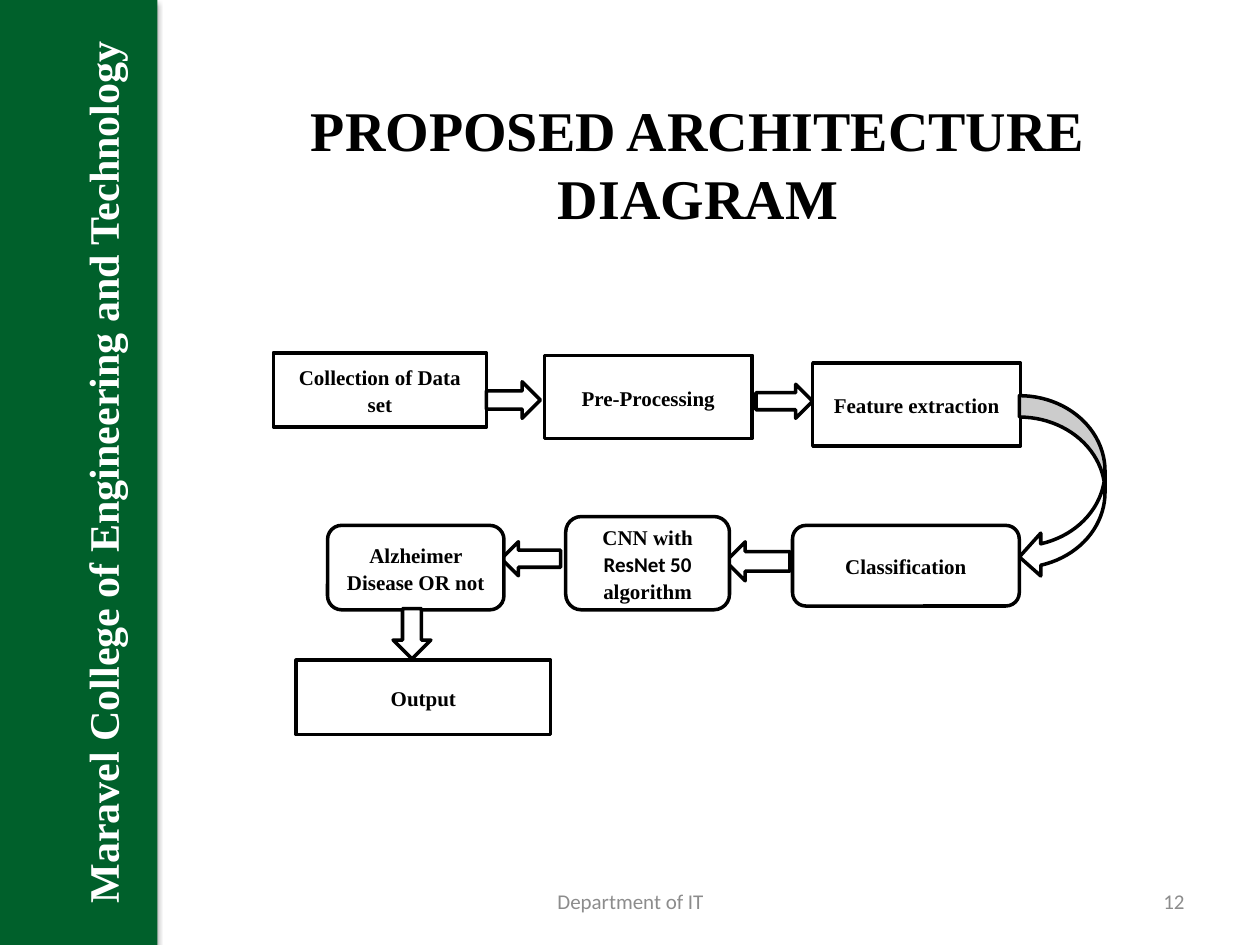
from lxml import etree
from pptx import Presentation
from pptx.dml.color import RGBColor
from pptx.enum.shapes import MSO_SHAPE
from pptx.enum.text import MSO_ANCHOR, PP_ALIGN
from pptx.oxml.ns import qn
from pptx.util import Inches, Pt

RECT, ROUND = MSO_SHAPE.RECTANGLE, MSO_SHAPE.ROUNDED_RECTANGLE
RIGHT, LEFT = MSO_SHAPE.RIGHT_ARROW, MSO_SHAPE.LEFT_ARROW
DOWN, CURVE = MSO_SHAPE.DOWN_ARROW, MSO_SHAPE.CURVED_LEFT_ARROW
MIDDLE, BOTTOM = MSO_ANCHOR.MIDDLE, MSO_ANCHOR.BOTTOM
CENTER, END = PP_ALIGN.CENTER, PP_ALIGN.RIGHT
SERIF, SANS = "Times New Roman", "Calibri"
COLORS = {"green": "00602B", "ink": "000000", "paper": "FFFFFF", "gray": "8C8C8C"}

# kind, left, top, width, height, text runs; offsets from the flow box
STEPS = [
    (RECT, 0, 0, 1.69, 0.59, ["Collection of Data set"]),
    (RIGHT, 1.69, 0.23, 0.43, 0.29, []),
    (RECT, 2.15, 0.02, 1.65, 0.66, ["Pre-Processing"]),
    (RIGHT, 3.83, 0.25, 0.45, 0.27, []),
    (RECT, 4.28, 0.08, 1.65, 0.66, ["Feature extraction"]),
    (CURVE, 5.92, 0.34, 0.68, 1.45, []),
    (ROUND, 4.12, 1.37, 1.8, 0.64, ["Classification"]),
    (LEFT, 3.59, 1.5, 0.51, 0.31, []),
    (ROUND, 2.32, 1.3, 1.3, 0.74, ["CNN with ", ("ResNet 50 ", SANS), "algorithm"]),
    (LEFT, 1.81, 1.5, 0.47, 0.27, []),
    (ROUND, 0.43, 1.37, 1.4, 0.67, ["Alzheimer Disease OR not"]),
    (DOWN, 0.95, 2.03, 0.3, 0.4, []),
    (RECT, 0.18, 2.44, 2.02, 0.59, ["Output"]),
]


def rgb(name):
    """Look up a named colour."""
    return RGBColor.from_string(COLORS[name])


def place(shape, left, top, width, height):
    """Move and size a shape, in inches."""
    shape.left, shape.top = Inches(left), Inches(top)
    shape.width, shape.height = Inches(width), Inches(height)


def write(shape, runs, size=12, font=SERIF, color="ink", bold=True,
          align=CENTER, anchor=MIDDLE, space=None):
    """Put one paragraph of runs, each text or (text, font), in a shape."""
    frame = shape.text_frame
    frame.word_wrap = True
    frame.vertical_anchor = anchor
    para = frame.paragraphs[0]
    para.alignment = align
    if space:
        para.line_spacing, para.space_after = space
    for item in runs:
        text, face = (item, font) if isinstance(item, str) else item
        run = para.add_run()
        run.text = text
        run.font.size, run.font.name = Pt(size), face
        run.font.bold, run.font.color.rgb = bold, rgb(color)


def draw(slide, kind, box, fill, line=None):
    """Add a filled preset shape with an optional outline."""
    shape = slide.shapes.add_shape(kind, *map(Inches, box))
    shape.shadow.inherit = False
    shape.fill.solid()
    shape.fill.fore_color.rgb = rgb(fill)
    if line:
        shape.line.color.rgb = rgb(line)
        shape.line.width = Pt(2)
    else:
        shape.line.fill.background()
    return shape


def shade(shape):
    """Give a shape a soft shadow straight below."""
    list_ = shape.element.spPr.find(qn("a:effectLst"))
    outer = etree.SubElement(list_, qn("a:outerShdw"), blurRad=str(Pt(3.1)),
                             dist=str(Pt(1.8)), dir="5400000", rotWithShape="0")
    tint = etree.SubElement(outer, qn("a:srgbClr"), val=COLORS["ink"])
    etree.SubElement(tint, qn("a:alpha"), val="35000")


def add_title(slide, box, text):
    """Format the title placeholder."""
    place(slide.shapes.title, *box)
    write(slide.shapes.title, [text], size=32)


def add_side(slide, box, text):
    """Add the green side band with its upward text."""
    band = draw(slide, RECT, box, "green")
    shade(band)
    write(band, [text], size=24, color="paper", anchor=BOTTOM)
    frame = band.text_frame
    frame.margin_left = frame.margin_right = Inches(0.24)
    frame.margin_top = frame.margin_bottom = Inches(0.24)
    frame._txBody.bodyPr.set("vert", "vert270")


def add_foot(slide, box):
    """Add the footer line: department and page number."""
    left, top, width, height = box
    for dx, wide, text, align in ((0, 3.17, "Department of IT", CENTER),
                                  (width - 2.33, 2.33, "12", END)):
        note = slide.shapes.add_textbox(*map(Inches, (left + dx, top, wide, height)))
        write(note, [text], font=SANS, color="gray", bold=False, align=align)


def add_flow(slide, box):
    """Add the steps and block arrows of the process."""
    left, top = box
    for kind, dx, dy, width, height, runs in STEPS:
        step = draw(slide, kind, (left + dx, top + dy, width, height), "paper", "ink")
        if runs:
            write(step, runs, space=(1.07, Pt(8)))


def main():
    """Build and save the slide."""
    deck = Presentation()
    deck.slide_width, deck.slide_height = Inches(10), Inches(7.5)
    slide = deck.slides.add_slide(deck.slide_layouts[5])
    add_title(slide, (1.58, 0.67, 7.92, 1.25), "PROPOSED ARCHITECTURE DIAGRAM")
    add_foot(slide, (3.42, 6.95, 6.08, 0.4))
    add_side(slide, (0, 0, 1.25, 7.5), "Maravel College of Engineering and Technology")
    add_flow(slide, (2.17, 2.8))
    deck.save("out.pptx")


main()
